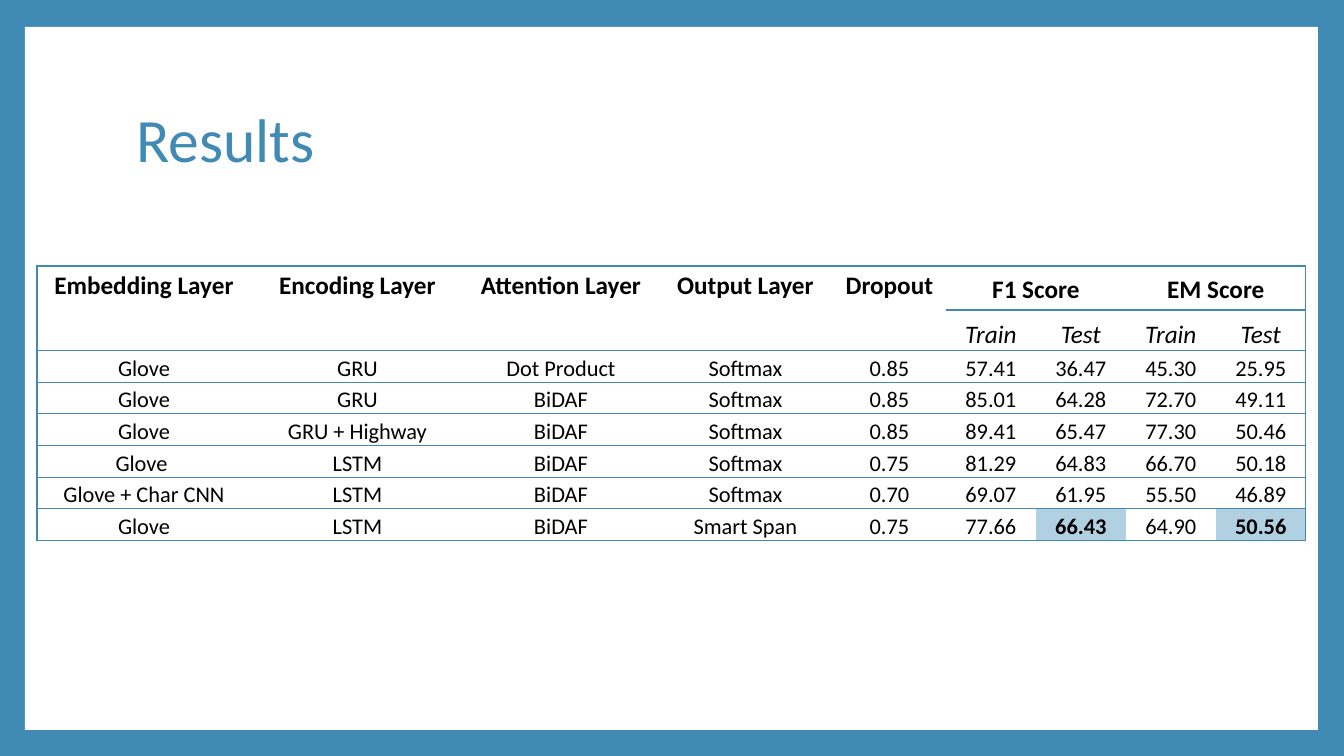
from lxml.etree import SubElement
from pptx import Presentation
from pptx.dml.color import RGBColor
from pptx.enum.shapes import MSO_SHAPE
from pptx.enum.text import MSO_ANCHOR, PP_ALIGN
from pptx.oxml.ns import qn
from pptx.util import Pt

BLUE = RGBColor(0x41, 0x8A, 0xB3)
PALE = RGBColor(0xB1, 0xD1, 0xE3)
WHITE = RGBColor(0xFF, 0xFF, 0xFF)
BLACK = RGBColor(0, 0, 0)
NO_STYLE = "{2D5ABB26-0587-4C30-8999-92F81FD0307C}"


def px(*nums):
    return [round(n * 914400 / 100.8) for n in nums]


def write(frame, text, size, color=BLACK, bold=False, italic=False,
          align=PP_ALIGN.CENTER):
    para = frame.paragraphs[0]
    para.alignment = align
    run = para.add_run()
    run.text = text
    font = run.font
    font.name, font.size, font.bold, font.italic = "Calibri", Pt(size), bold, italic
    font.color.rgb = color


prs = Presentation()
prs.slide_width, prs.slide_height = px(1344, 756)
slide = prs.slides.add_slide(prs.slide_layouts[5])
slide.background.fill.solid()
slide.background.fill.fore_color.rgb = BLUE

# White panel, placed behind the title
panel = slide.shapes.add_shape(MSO_SHAPE.RECTANGLE, *px(25, 27, 1293, 703))
panel.shadow.inherit = False
panel.fill.solid()
panel.fill.fore_color.rgb = WHITE
panel.line.fill.background()
title = slide.shapes.title
title._element.addprevious(panel._element)

title.left, title.top, title.width, title.height = px(126, 68, 1089, 149)
title.text_frame.vertical_anchor = MSO_ANCHOR.MIDDLE
write(title.text_frame, "Results", 44, color=BLUE, align=PP_ALIGN.LEFT)
title.text_frame.paragraphs[0].line_spacing = 0.9

# Results table
ROWS = [
    ["Embedding Layer", "Encoding Layer", "Attention Layer", "Output Layer",
     "Dropout", "F1 Score", "", "EM Score", ""],
    ["", "", "", "", "", "Train", "Test", "Train", "Test"],
    ["Glove", "GRU", "Dot Product", "Softmax", "0.85", "57.41", "36.47", "45.30", "25.95"],
    ["Glove", "GRU", "BiDAF", "Softmax", "0.85", "85.01", "64.28", "72.70", "49.11"],
    ["Glove", "GRU + Highway", "BiDAF", "Softmax", "0.85", "89.41", "65.47", "77.30", "50.46"],
    ["Glove ", "LSTM", "BiDAF", "Softmax", "0.75", "81.29", "64.83", "66.70", "50.18"],
    ["Glove + Char CNN", "LSTM", "BiDAF", "Softmax", "0.70", "69.07", "61.95", "55.50", "46.89"],
    ["Glove", "LSTM", "BiDAF", "Smart Span", "0.75", "77.66", "66.43", "64.90", "50.56"],
]
WIDTHS = [214, 213, 194, 175, 113] + [90] * 4
HEIGHTS = [44, 31, 32, 31, 32, 32, 31, 32]
BEST = {(7, 6), (7, 8)}
SCORE = 5  # first score column

table = slide.shapes.add_table(
    len(ROWS), len(WIDTHS), *px(37, 266, sum(WIDTHS), sum(HEIGHTS))).table
table.first_row = table.horz_banding = False
table._tbl.tblPr.find(qn("a:tableStyleId")).text = NO_STYLE
for col, width in zip(table.columns, px(*WIDTHS)):
    col.width = width
for row, height in zip(table.rows, px(*HEIGHTS)):
    row.height = height
for c in range(SCORE):
    table.cell(0, c).merge(table.cell(1, c))
for c in (5, 7):
    table.cell(0, c).merge(table.cell(0, c + 1))

for r, row in enumerate(ROWS):
    for c, text in enumerate(row):
        cell = table.cell(r, c)
        props = cell._tc.get_or_add_tcPr()
        edges = {
            "lnL": c == 0,
            "lnR": c == 8 or (r, c) == (0, 7),
            "lnT": r != 1 or c >= SCORE,
            "lnB": r > 0 or c >= SCORE,
        }
        for tag, shown in edges.items():
            if shown:
                line = SubElement(props, qn("a:" + tag), w=str(Pt(1)))
                paint = SubElement(line, qn("a:solidFill"))
                SubElement(paint, qn("a:srgbClr"), val=str(BLUE))
        best = (r, c) in BEST
        cell.fill.solid()
        cell.fill.fore_color.rgb = PALE if best else WHITE
        if cell.is_spanned:
            continue
        if r > 0 or c >= SCORE:
            cell.vertical_anchor = MSO_ANCHOR.BOTTOM
        gaps = (10, 5, 10, 5) if r == 0 else (1, 1, 1, 0)
        (cell.margin_left, cell.margin_top,
         cell.margin_right, cell.margin_bottom) = px(*gaps)
        write(cell.text_frame, text, 18 if r < 2 else 16,
              bold=r == 0 or best, italic=r == 1)

prs.save("out.pptx")
